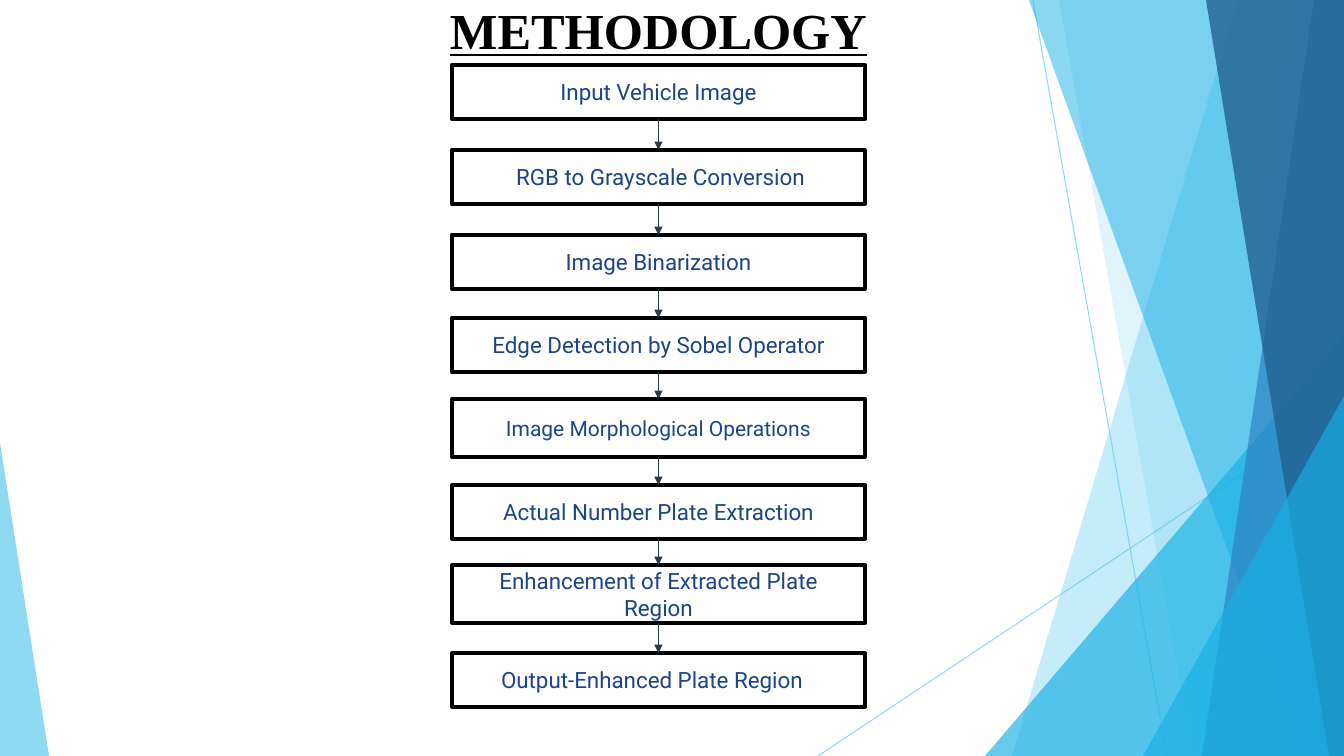
from pptx import Presentation
from pptx.dml.color import RGBColor
from pptx.enum.shapes import MSO_CONNECTOR, MSO_SHAPE
from pptx.enum.text import MSO_ANCHOR, PP_ALIGN
from pptx.oxml.ns import qn
from pptx.util import Pt
from lxml import etree

RECTANGLE = MSO_SHAPE.RECTANGLE
TRIANGLE = MSO_SHAPE.ISOSCELES_TRIANGLE
STRAIGHT = MSO_CONNECTOR.STRAIGHT
LEFT, CENTER = PP_ALIGN.LEFT, PP_ALIGN.CENTER
TOP, MIDDLE = MSO_ANCHOR.TOP, MSO_ANCHOR.MIDDLE

EMU_PER_PX = 914400 / 100.8
SLIDE_WIDTH, SLIDE_HEIGHT = 1344, 756
BOTTOM_SIDE, TOP_SIDE = 2, 0
INSET = 13

SKY, CYAN, BLUE, NAVY = "5FCBEF", "17B0E4", "2E83C3", "226292"
BLACK, STEP_TEXT, ARROW = "000000", "1C4587", "2C3C43"

STEPS = [
    ("Input Vehicle Image", 65, 54, {}),
    ("RGB to Grayscale Conversion", 150, 54, {"inset_left": INSET + 4}),
    ("Image Binarization", 235, 54, {}),
    ("Edge Detection by Sobel Operator", 318, 54, {}),
    ("Image Morphological Operations", 399, 58, {"size": 15}),
    ("Actual Number Plate Extraction", 485, 54, {}),
    ("Enhancement of Extracted Plate Region", 565, 58, {}),
    ("Output-Enhanced Plate Region", 653, 54, {"align": LEFT, "inset_left": 49}),
]


def px(length):
    return round(length * EMU_PER_PX)


def color(hex_string):
    return RGBColor.from_string(hex_string)


def set_alpha(properties, percent):
    for color_element in properties.iter(qn("a:srgbClr")):
        alpha = etree.SubElement(color_element, qn("a:alpha"))
        alpha.set("val", str(percent * 1000))


def write_text(shape, text, font="Roboto", size=16, text_color=STEP_TEXT, bold=False,
               underline=False, align=CENTER, anchor=MIDDLE, inset=INSET, inset_left=None):
    frame = shape.text_frame
    frame.word_wrap = True
    frame.vertical_anchor = anchor
    frame.margin_left = px(inset if inset_left is None else inset_left)
    frame.margin_right = frame.margin_top = frame.margin_bottom = px(inset)
    paragraph = frame.paragraphs[0]
    paragraph.alignment = align
    run = paragraph.add_run()
    run.text = text
    run.font.name = font
    run.font.size = Pt(size)
    run.font.bold = bold
    run.font.underline = underline
    run.font.color.rgb = color(text_color)


def add_line(slide, start, end, line_color):
    line = slide.shapes.add_connector(STRAIGHT, *map(px, start + end))
    line.line.color.rgb = color(line_color)
    line.line.width = Pt(0.75)
    etree.SubElement(line._element.spPr, qn("a:effectLst"))
    return line


def paint(shape, fill, opacity):
    shape.shadow.inherit = False
    shape.fill.solid()
    shape.fill.fore_color.rgb = color(fill)
    shape.line.fill.background()
    set_alpha(shape._element.spPr, opacity)


def add_facet(slide, points, fill, opacity):
    builder = slide.shapes.build_freeform(*points[0], scale=EMU_PER_PX)
    builder.add_line_segments(points[1:], close=True)
    paint(builder.convert_to_shape(), fill, opacity)


def add_corner(slide, left, top, width, height, apex, fill, opacity):
    corner = slide.shapes.add_shape(TRIANGLE, px(left), px(top), px(width), px(height))
    corner.adjustments[0] = apex
    paint(corner, fill, opacity)


def build_backdrop(slide, left, top, width, height):
    right, bottom = left + width, top + height

    def add_band(top_inset, bottom_inset, fill, opacity):
        points = [(right - top_inset, top), (right, top), (right, bottom),
                  (right - bottom_inset, bottom)]
        add_facet(slide, points, fill, opacity)

    def add_right_corner(corner_width, corner_height):
        add_corner(slide, right - corner_width, bottom - corner_height,
                   corner_width, corner_height, 1, CYAN, 66)

    for start, end in (((right - 311, top), (right - 177, bottom)),
                       ((right, bottom - 350), (right - 526, bottom))):
        line = add_line(slide, start, end, SKY)
        set_alpha(line._element.spPr, 70)
    add_band(106, 332, SKY, 36)
    add_band(285, 151, SKY, 20)
    add_right_corner(359, 420)
    add_band(315, 42, CYAN, 50)
    add_band(30, 142, BLUE, 70)
    add_band(138, 15, NAVY, 80)
    add_right_corner(201, 360)
    add_corner(slide, left, bottom - 313, 49, 313, 0, SKY, 70)


def build_title(slide, left, top, width, height):
    title = slide.shapes.add_textbox(px(left), px(top), px(width), px(height))
    write_text(title, "METHODOLOGY", font="Times New Roman", size=36, text_color=BLACK,
               bold=True, underline=True, align=LEFT, anchor=TOP, inset=5, inset_left=10)


def add_step(slide, text, left, top, width, height, text_format):
    step = slide.shapes.add_shape(RECTANGLE, px(left), px(top), px(width), px(height))
    step.shadow.inherit = False
    step.fill.background()
    step.line.color.rgb = color(BLACK)
    step.line.width = Pt(3)
    write_text(step, text, **text_format)
    return step


def add_arrow(slide, upper, lower):
    arrow = add_line(slide, (0, 0), (0, 0), ARROW)
    arrow.begin_connect(upper, BOTTOM_SIDE)
    arrow.end_connect(lower, TOP_SIDE)
    head = etree.SubElement(arrow.line._get_or_add_ln(), qn("a:tailEnd"))
    head.set("type", "triangle")


def build_flowchart(slide, left, top, width):
    steps = [add_step(slide, text, left, top + offset, width, height, text_format)
             for text, offset, height, text_format in STEPS]
    for upper, lower in zip(steps, steps[1:]):
        add_arrow(slide, upper, lower)


def main():
    presentation = Presentation()
    presentation.slide_width = px(SLIDE_WIDTH)
    presentation.slide_height = px(SLIDE_HEIGHT)
    slide = presentation.slides.add_slide(presentation.slide_layouts[6])
    build_backdrop(slide, 0, 0, SLIDE_WIDTH, SLIDE_HEIGHT)
    build_flowchart(slide, 452, 0, 413)
    build_title(slide, 440, -6, 647, 72)
    presentation.save("out.pptx")


if __name__ == "__main__":
    main()
